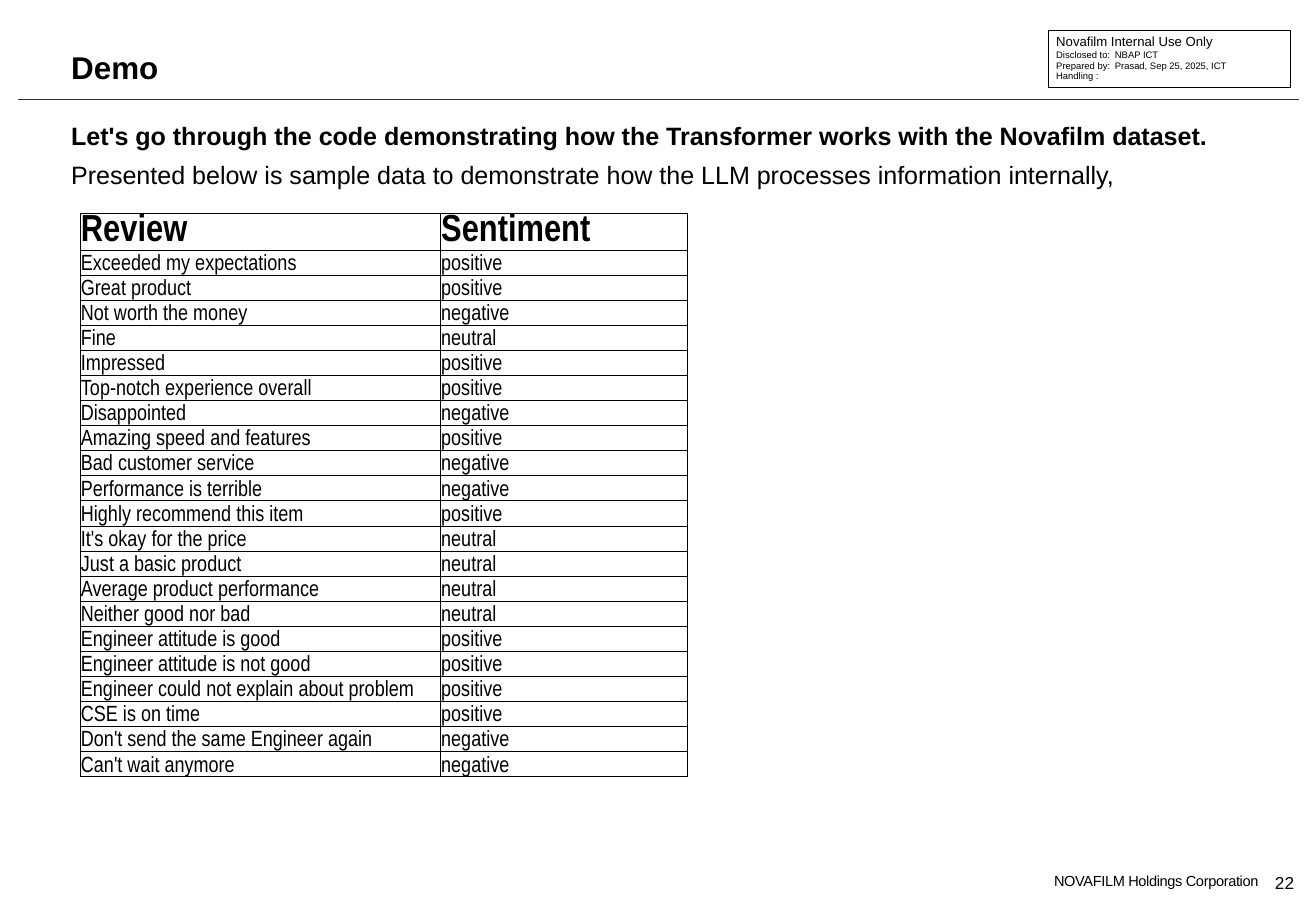
import dataclasses

import lxml.etree
import pptx
import pptx.dml.color
import pptx.enum.shapes
import pptx.enum.text
import pptx.oxml.ns
import pptx.util

Cm = pptx.util.Cm
Pt = pptx.util.Pt
Align = pptx.enum.text.PP_ALIGN
Anchor = pptx.enum.text.MSO_ANCHOR
qn = pptx.oxml.ns.qn


@dataclasses.dataclass(frozen=True)
class Theme:
    font: str = "Arial"
    table_font: str = "Arial Narrow"
    ink: str = "000000"
    rule: str = "333333"
    paper: str = "FFFFFF"
    title_size: float = 20
    body_size: float = 16
    header_size: float = 24
    cell_size: float = 14
    page_size: float = 11
    footer_size: float = 9.3
    notice_size: float = 8.4
    detail_size: float = 6
    detail_leading: float = 6.8
    border: float = 0.5


class SlideBuilder:
    def __init__(self, slide, theme):
        self.slide = slide
        self.theme = theme

    def color(self, value):
        return pptx.dml.color.RGBColor.from_string(value)

    def fill_text(self, frame, lines, size, bold=False, align=Align.LEFT,
                  anchor=Anchor.TOP, wrap=True):
        """Fill a text frame that has no margins and format its runs."""
        frame.text = "\n".join(lines)
        frame.word_wrap = wrap
        frame.auto_size = pptx.enum.text.MSO_AUTO_SIZE.NONE
        frame.vertical_anchor = anchor
        frame.margin_left = frame.margin_right = frame.margin_top = frame.margin_bottom = 0
        for paragraph in frame.paragraphs:
            self.format_runs(paragraph, size, bold, align=align)

    def format_runs(self, paragraph, size, bold=False, font=None, align=Align.LEFT):
        paragraph.alignment = align
        for run in paragraph.runs:
            run.font.name = font or self.theme.font
            run.font.size = Pt(size)
            run.font.bold = bold
            run.font.color.rgb = self.color(self.theme.ink)

    def place(self, shape, left, top, width, height):
        shape.left, shape.top = Cm(left), Cm(top)
        shape.width, shape.height = Cm(width), Cm(height)

    def title(self, text, *box):
        shape = self.slide.shapes.title
        self.place(shape, *box)
        self.fill_text(shape.text_frame, [text], self.theme.title_size, bold=True,
                       anchor=Anchor.BOTTOM)

    def body(self, lines, *box):
        shape = self.slide.placeholders[1]
        self.place(shape, *box)
        self.fill_text(shape.text_frame, lines, self.theme.body_size)
        for paragraph in shape.text_frame.paragraphs:
            paragraph.line_spacing = 1.1
            paragraph.space_before = Pt(0)
            paragraph.space_after = Pt(4)
            properties = paragraph._p.get_or_add_pPr()
            properties.set("marL", "0")
            properties.set("indent", "0")
            lxml.etree.SubElement(properties, qn("a:buNone"))
        for run in shape.text_frame.paragraphs[0].runs:
            run.font.bold = True

    def text(self, lines, size, *box, leading=None, spacing=None, **style):
        shape = self.slide.shapes.add_textbox(*map(Cm, box))
        self.fill_text(shape.text_frame, lines, size, **style)
        for paragraph in shape.text_frame.paragraphs:
            if leading:
                paragraph.line_spacing = Pt(leading)
            if spacing:
                for run in paragraph.runs:
                    run.font._element.set("spc", str(spacing))

    def rule(self, left, right, top):
        line = self.slide.shapes.add_connector(
            pptx.enum.shapes.MSO_CONNECTOR.STRAIGHT, Cm(left), Cm(top), Cm(right), Cm(top))
        line.line.color.rgb = self.color(self.theme.rule)
        line.line.width = Pt(0.75)
        lxml.etree.SubElement(line._element.spPr, qn("a:effectLst"))

    def frame(self, *box):
        shape = self.slide.shapes.add_shape(
            pptx.enum.shapes.MSO_SHAPE.RECTANGLE, *map(Cm, box))
        shape.shadow.inherit = False
        shape.fill.solid()
        shape.fill.fore_color.rgb = self.color(self.theme.paper)
        fill_color = shape._element.spPr.find(qn("a:solidFill")).find(qn("a:srgbClr"))
        lxml.etree.SubElement(fill_color, qn("a:alpha"), val="75000")
        shape.line.color.rgb = self.color(self.theme.ink)
        shape.line.width = Pt(self.theme.border)

    def cell_borders(self, cell):
        properties = cell._tc.get_or_add_tcPr()
        for index, side in enumerate(("lnL", "lnR", "lnT", "lnB")):
            line = lxml.etree.Element(qn("a:" + side), w=str(Pt(self.theme.border)))
            fill = lxml.etree.SubElement(line, qn("a:solidFill"))
            lxml.etree.SubElement(fill, qn("a:srgbClr"), val=self.theme.ink)
            properties.insert(index, line)

    def table(self, rows, left, top, widths, row_height):
        graphic = self.slide.shapes.add_table(
            len(rows), len(widths), Cm(left), Cm(top), Cm(sum(widths)),
            Cm(row_height * len(rows)))
        table = graphic.table
        table.first_row = table.horz_banding = False
        for column, width in zip(table.columns, widths):
            column.width = Cm(width)
        for row_index, values in enumerate(rows):
            table.rows[row_index].height = Cm(row_height)
            header = row_index == 0
            size = self.theme.header_size if header else self.theme.cell_size
            for column_index, value in enumerate(values):
                cell = table.cell(row_index, column_index)
                cell.text_frame.text = value
                self.format_runs(cell.text_frame.paragraphs[0], size, header,
                                 self.theme.table_font)
                cell.vertical_anchor = Anchor.BOTTOM
                cell.margin_left = cell.margin_right = cell.margin_top = Cm(0.02)
                cell.margin_bottom = 0
                cell.fill.background()
                self.cell_borders(cell)


REVIEWS = [
    ("Review", "Sentiment"),
    ("Exceeded my expectations", "positive"),
    ("Great product", "positive"),
    ("Not worth the money", "negative"),
    ("Fine", "neutral"),
    ("Impressed", "positive"),
    ("Top-notch experience overall", "positive"),
    ("Disappointed", "negative"),
    ("Amazing speed and features", "positive"),
    ("Bad customer service", "negative"),
    ("Performance is terrible", "negative"),
    ("Highly recommend this item", "positive"),
    ("It's okay for the price", "neutral"),
    ("Just a basic product", "neutral"),
    ("Average product performance", "neutral"),
    ("Neither good nor bad", "neutral"),
    ("Engineer attitude is good", "positive"),
    ("Engineer attitude is not good", "positive"),
    ("Engineer could not explain about problem", "positive"),
    ("CSE is on time", "positive"),
    ("Don't send the same Engineer again", "negative"),
    ("Can't wait anymore", "negative"),
]


def main():
    presentation = pptx.Presentation()
    presentation.slide_width, presentation.slide_height = Cm(29.59), Cm(20.5)
    slide = presentation.slides.add_slide(presentation.slide_layouts[1])
    theme = Theme()
    builder = SlideBuilder(slide, theme)

    # Footer and header rule
    builder.text(["NOVAFILM Holdings Corporation"], theme.footer_size,
                 22.33, 19.61, 5.97, 0.41, align=Align.RIGHT, spacing=-20)
    builder.text(["22"], theme.page_size, 28.4, 19.63, 0.97, 0.41,
                 align=Align.CENTER, anchor=Anchor.MIDDLE)
    builder.rule(0.41, 29.21, 2.24)

    # Disclosure notice
    builder.frame(23.57, 0.69, 5.44, 1.27)
    builder.text(["Novafilm Internal Use Only"], theme.notice_size,
                 23.75, 0.76, 4.88, 0.33, anchor=Anchor.MIDDLE, wrap=False)
    builder.text(["Disclosed to:", "Prepared by:", "Handling :"], theme.detail_size,
                 23.75, 1.12, 1.22, 0.97, leading=theme.detail_leading)
    builder.text(["NBAP ICT", "Prasad, Sep 25, 2025, ICT"], theme.detail_size,
                 25.07, 1.12, 3.71, 0.91, leading=theme.detail_leading)

    # Title and introduction
    builder.title("Demo", 1.6, 0.43, 20.19, 1.5)
    builder.body([
        "Let's go through the code demonstrating how the Transformer works "
        "with the Novafilm dataset.",
        "Presented below is sample data to demonstrate how the LLM processes "
        "information internally,",
    ], 1.6, 2.64, 26.39, 16)

    # Sample reviews: the header row grows to fit its larger type
    builder.table(REVIEWS, 1.8, 4.8, (8.1, 5.56), 11.85 / (len(REVIEWS) - 1))

    presentation.save("out.pptx")


if __name__ == "__main__":
    main()
